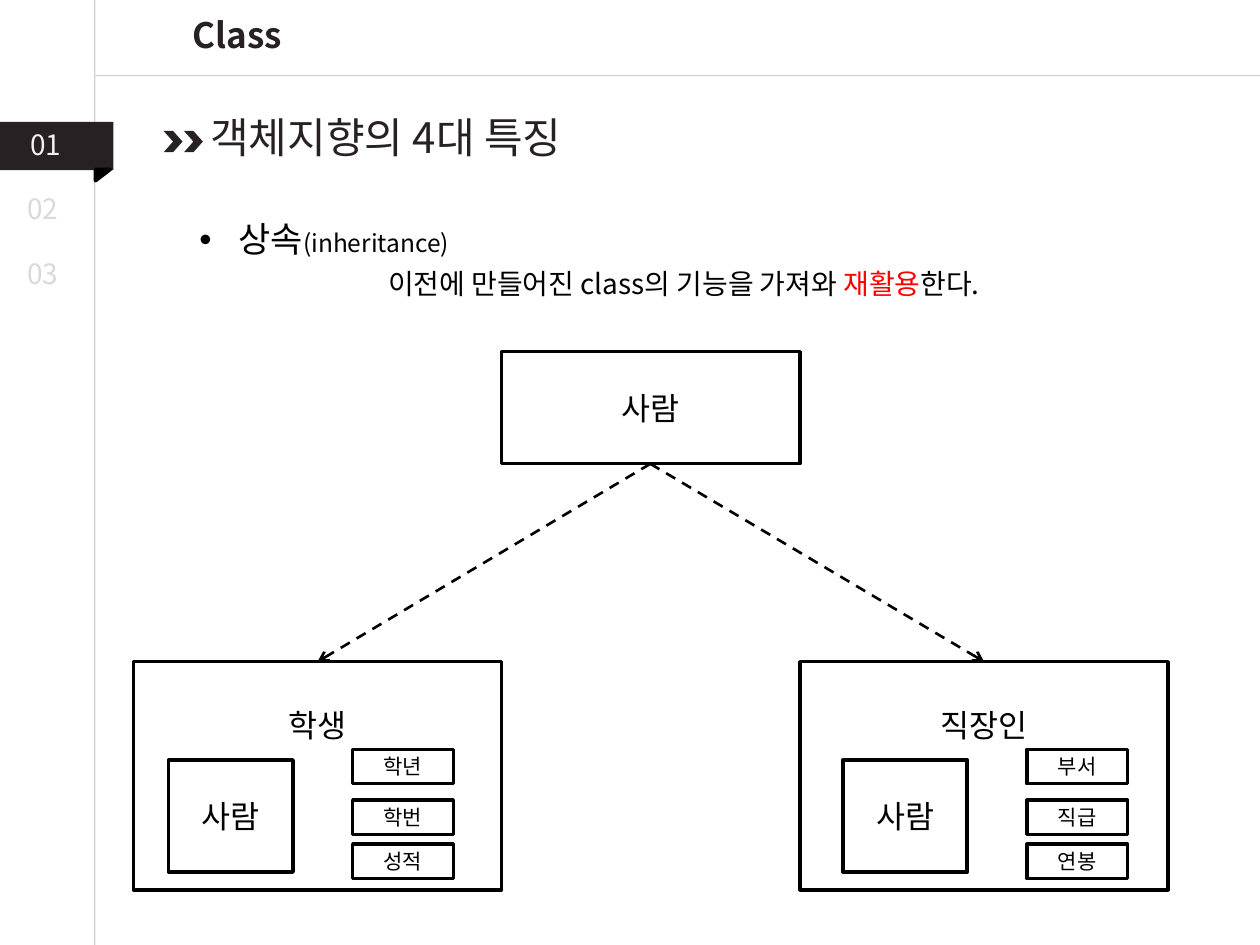
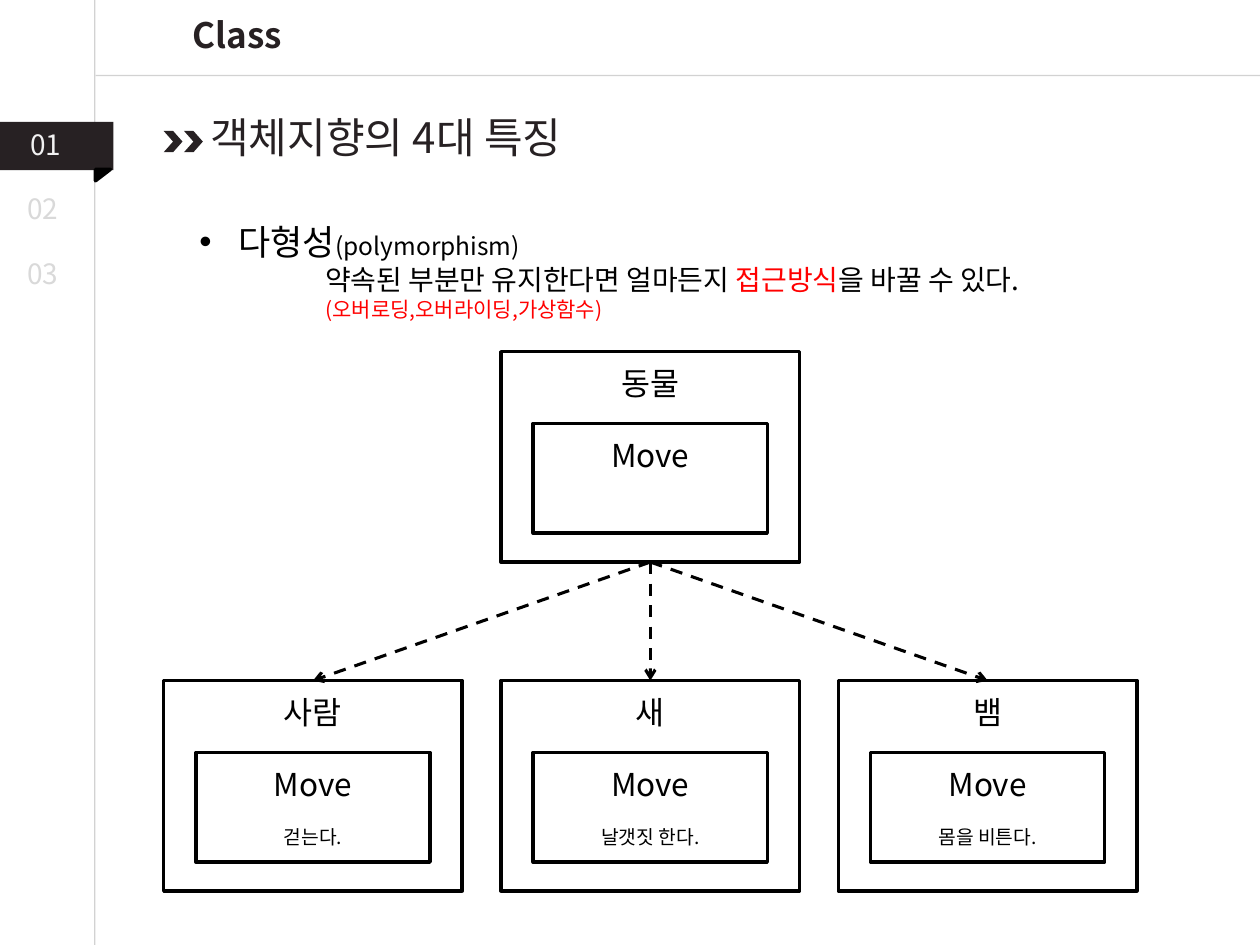
from lxml import etree
from pptx import Presentation
from pptx.dml.color import RGBColor
from pptx.enum.dml import MSO_LINE
from pptx.enum.shapes import MSO_CONNECTOR, MSO_SHAPE
from pptx.enum.text import MSO_ANCHOR, MSO_AUTO_SIZE, PP_ALIGN
from pptx.oxml.ns import qn
from pptx.util import Cm, Pt

FONT = "Noto Sans CJK KR"
BLACK, DARK, RED = "000000", "272123", "FF0000"
RULE, TAB_ON, TAB_OFF = "A6A6A6", "F2F2F2", "D9D9D9"
WIDTH, HEIGHT = 25.4, 19.05
CENTER_X = 13.11


def color(hex_text):
    """Turn a hex string into a colour."""
    return RGBColor.from_string(hex_text)


def run(text, size, ink=BLACK, bold=False):
    """Describe one run of text."""
    return text, size, ink, bold


def para(*runs, align=None, level=0, margin=0, bullet=False, before=0):
    """Describe one paragraph; margin is in cm and before in points."""
    return dict(runs=runs, align=align, level=level, margin=margin,
                bullet=bullet, before=before)


def centered(text, size, before=0):
    """Describe a centred black paragraph."""
    return para(run(text, size), align=PP_ALIGN.CENTER, before=before)


class Deck:
    """The shared style and the slide being built."""

    def __init__(self):
        """Open an empty presentation."""
        self.prs = Presentation()
        self.prs.slide_width, self.prs.slide_height = Cm(WIDTH), Cm(HEIGHT)
        self.shapes = None

    def new_slide(self):
        """Start a slide with the rules, section tabs and headings."""
        self.shapes = self.prs.slides.add_slide(self.prs.slide_layouts[6]).shapes
        self.line(1.91, 0, 1.91, HEIGHT, RULE, 0.75, alpha=50)
        self.line(WIDTH, 1.52, 1.93, 1.52, RULE, 0.75, alpha=50)
        self.shape(MSO_SHAPE.RECTANGLE, 0, 2.46, 2.29, 0.97, fill=DARK)
        fold = self.shape(MSO_SHAPE.RIGHT_TRIANGLE, 1.96, 3.38, 0.23, 0.3,
                          fill=BLACK, line=BLACK)
        fold.rotation = 90
        tabs = (("01", 0.36, 2.44, TAB_ON), ("02", 0.3, 3.73, TAB_OFF),
                ("03", 0.3, 5.05, TAB_OFF))
        for number, left, top, ink in tabs:
            self.text(left, top, 1.5, 0.94, para(run(number, 16, ink)))
        for left in (3.71, 3.3):
            self.shape(MSO_SHAPE.CHEVRON, left, 2.64, 0.38, 0.43, fill=DARK)
        self.text(3.99, 2.13, 9.58, 1.27,
                  para(run("객체지향의 4대 특징", 24, DARK)))
        self.text(2.06, 0.15, 5.44, 1.12,
                  para(run("Class", 20, DARK, True), align=PP_ALIGN.CENTER))

    def line(self, x1, y1, x2, y2, ink, width, alpha=None):
        """Draw a straight line, optionally with some opacity in percent."""
        line = self.shapes.add_connector(MSO_CONNECTOR.STRAIGHT,
                                         Cm(x1), Cm(y1), Cm(x2), Cm(y2))
        line.line.color.rgb = color(ink)
        line.line.width = Pt(width)
        properties = line._element.spPr
        etree.SubElement(properties, qn("a:effectLst"))
        if alpha:
            ink_xml = properties.find(".//" + qn("a:srgbClr"))
            etree.SubElement(ink_xml, qn("a:alpha"), val=str(alpha * 1000))
        return line

    def arrow(self, x1, y1, x2, y2, width):
        """Draw a dashed black arrow."""
        arrow = self.line(x1, y1, x2, y2, BLACK, width)
        arrow.line.dash_style = MSO_LINE.DASH
        outline = arrow._element.spPr.find(qn("a:ln"))
        etree.SubElement(outline, qn("a:tailEnd"), type="arrow")

    def shape(self, kind, left, top, width, height, fill=None, line=None):
        """Draw a preset shape; no colour means no fill or no line."""
        shape = self.shapes.add_shape(kind, Cm(left), Cm(top), Cm(width), Cm(height))
        shape.shadow.inherit = False
        if fill:
            shape.fill.solid()
            shape.fill.fore_color.rgb = color(fill)
        else:
            shape.fill.background()
        if line:
            shape.line.color.rgb = color(line)
            shape.line.width = Pt(2)
        else:
            shape.line.fill.background()
        return shape

    def box(self, left, top, width, height, *paras, inset=None):
        """Draw an outlined box, its text centred or hung below an inset."""
        shape = self.shape(MSO_SHAPE.RECTANGLE, left, top, width, height, line=BLACK)
        frame = shape.text_frame
        frame.vertical_anchor = MSO_ANCHOR.MIDDLE
        if inset is not None:
            frame.vertical_anchor = MSO_ANCHOR.TOP
            frame.margin_top = Cm(inset)
        self.set_paragraphs(frame, paras)

    def text(self, left, top, width, height, *paras):
        """Add a text box that grows with its text."""
        frame = self.shapes.add_textbox(Cm(left), Cm(top), Cm(width),
                                        Cm(height)).text_frame
        frame.auto_size = MSO_AUTO_SIZE.SHAPE_TO_FIT_TEXT
        self.set_paragraphs(frame, paras)

    def set_paragraphs(self, frame, paras):
        """Fill a text frame with the described paragraphs."""
        frame.word_wrap = True
        for i, spec in enumerate(paras):
            p = frame.add_paragraph() if i else frame.paragraphs[0]
            p.alignment = spec["align"] or PP_ALIGN.LEFT
            p.level = spec["level"]
            if spec["before"]:
                p.space_before = Pt(spec["before"])
            properties = p._p.get_or_add_pPr()
            if spec["margin"]:
                properties.set("marL", str(Cm(spec["margin"])))
                properties.set("indent", "0")
            if spec["bullet"]:
                properties.set("indent", str(-Cm(spec["margin"])))
                etree.SubElement(properties, qn("a:buFont"), typeface="Arial")
                etree.SubElement(properties, qn("a:buChar"), char="•")
            for text, size, ink, bold in spec["runs"]:
                r = p.add_run()
                r.text = text
                r.font.size, r.font.bold, r.font.name = Pt(size), bold, FONT
                r.font.color.rgb = color(ink)
                etree.SubElement(r._r.get_or_add_rPr(), qn("a:ea"), typeface=FONT)

    def topic(self, top, height, name, english, *details):
        """Add the bulleted topic and its explanation."""
        heading = para(run(name, 20), run(english, 14), margin=0.79, bullet=True)
        self.text(3.77, top, 19.76, height, heading, *details)


def inheritance_slide(deck):
    """Build the inheritance slide: one parent and two derived classes."""
    deck.new_slide()
    deck.topic(4.27, 2.82, "상속", "(inheritance)", para(
        run("이전에 만들어진 class의 기능을 가져와 ", 16), run("재활용", 16, RED),
        run("한다.", 16), level=1, margin=3.81, before=4))
    deck.box(10.11, 7.09, 6.02, 2.26, centered("사람", 18))
    child_top, child_width = 13.34, 7.42
    children = ((2.69, 3.4, "학생", ("학년", "학번", "성적")),
                (16.13, 16.99, "직장인", ("부서", "직급", "연봉")))
    for left, inner_left, name, fields in children:
        deck.box(left, child_top, child_width, 4.6, centered(name, 18), inset=0.89)
        deck.arrow(CENTER_X, 9.35, left + child_width / 2, child_top, 1.5)
        deck.box(inner_left, 15.32, 2.51, 2.26, centered("사람", 18))
        for top, field in zip((15.11, 16.13, 17.02), fields):
            deck.box(inner_left + 3.71, top, 2.03, 0.69, centered(field, 12))


def polymorphism_slide(deck):
    """Build the polymorphism slide: one method, three behaviours."""
    deck.new_slide()
    deck.topic(
        4.32, 2.34, "다형성", "(polymorphism)",
        para(run("약속된 부분만 유지한다면 얼마든지 ", 16), run("접근방식", 16, RED),
             run("을 바꿀 수 있다.", 16), level=2, margin=2.54),
        para(run("(오버로딩,오버라이딩,가상함수)", 12, RED), level=2, margin=2.54))
    width, height, pitch = 6.02, 4.24, 6.8
    parent_top, child_top = 7.09, 13.72

    def class_box(center, top, name, action=None):
        """Draw a class with its Move method."""
        deck.box(center - width / 2, top, width, height, centered(name, 18),
                 inset=0.25)
        method = [centered("Move", 18)]
        if action:
            method.append(centered(action, 11, before=13))
        deck.box(center - 2.36, top + 1.45, 4.72, 2.21, *method, inset=0.25)

    class_box(CENTER_X, parent_top, "동물")
    children = (("사람", "걷는다."), ("새", "날갯짓 한다."), ("뱀", "몸을 비튼다."))
    for i, (name, action) in enumerate(children):
        center = CENTER_X + (i - 1) * pitch
        class_box(center, child_top, name, action)
        deck.arrow(CENTER_X, parent_top + height, center, child_top, 1.75)


deck = Deck()
inheritance_slide(deck)
polymorphism_slide(deck)
deck.prs.save("out.pptx")
